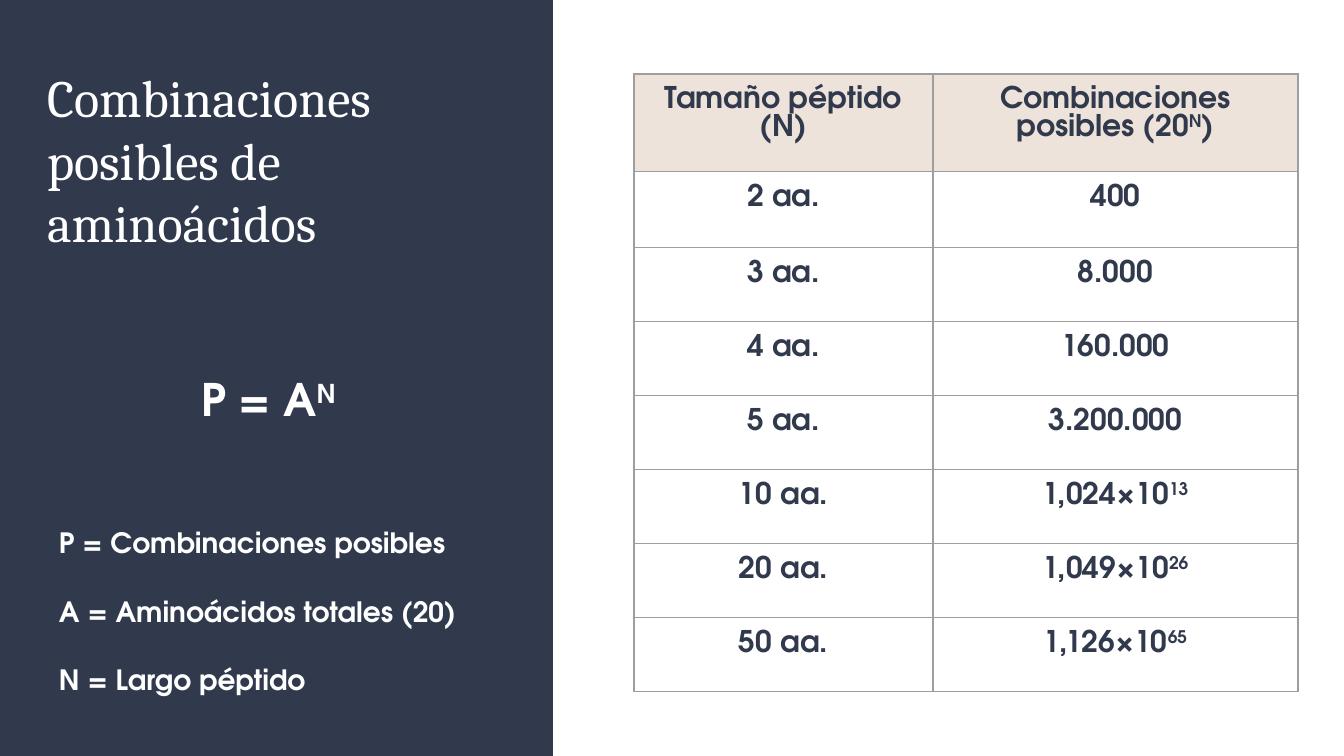
from dataclasses import dataclass

from lxml.etree import SubElement
from pptx import Presentation
from pptx.dml.color import RGBColor
from pptx.enum.shapes import MSO_SHAPE
from pptx.enum.text import MSO_ANCHOR, PP_ALIGN
from pptx.oxml.ns import qn
from pptx.util import Emu, Pt

EMU_PER_PX = 914400 / 134.4
NAVY, WHITE, SAND, GRAY = "31394D", "FFFFFF", "EDE3DA", "9E9E9E"
SERIF, SANS = "Cambria", "TeX Gyre Adventor"
INSET = 13


@dataclass(frozen=True)
class Power:
    base: str
    exponent: str = ""
    ending: str = ""


@dataclass(frozen=True)
class Line:
    content: Power
    size: int
    before: int = 0
    indent: int = 0


TABLE_ROWS = [
    (Power("Tamaño péptido (N)"), Power("Combinaciones posibles (20", "N", ")")),
    (Power("2 aa."), Power("400")),
    (Power("3 aa."), Power("8.000")),
    (Power("4 aa."), Power("160.000")),
    (Power("5 aa."), Power("3.200.000")),
    (Power("10 aa."), Power("1,024×10", "13")),
    (Power("20 aa."), Power("1,049×10", "26")),
    (Power("50 aa."), Power("1,126×10", "65")),
]
FORMULA_LINES = [
    Line(Power("P = A", "N"), 24, indent=142),
    Line(Power("P = Combinaciones posibles"), 15, before=51),
    Line(Power("A = Aminoácidos totales (20)"), 15, before=16),
    Line(Power("N = Largo péptido"), 15, before=16),
]
COLUMN_WIDTHS = [299, 365]
ROW_HEIGHTS = [82, 76] + [74] * 6


def px(length: int) -> Emu:
    return Emu(round(length * EMU_PER_PX))


def color(value: str) -> RGBColor:
    return RGBColor.from_string(value)


def set_font(paragraph, name: str, size: int, ink: str, bold: bool) -> None:
    paragraph.font.name = name
    paragraph.font.size = Pt(size)
    paragraph.font.bold = bold
    paragraph.font.color.rgb = color(ink)


def write_power(paragraph, content: Power) -> None:
    paragraph.add_run().text = content.base
    if content.exponent:
        span = paragraph.add_run()
        span.text = content.exponent
        span.font._element.set("baseline", "30000")
    if content.ending:
        paragraph.add_run().text = content.ending


def set_insets(frame) -> None:
    frame.margin_left = frame.margin_right = px(INSET)
    frame.margin_top = frame.margin_bottom = px(INSET)


def draw_panel(page) -> None:
    panel = page.shapes.add_shape(MSO_SHAPE.RECTANGLE, 0, 0, px(553), px(756))
    panel.shadow.inherit = False
    panel.fill.solid()
    panel.fill.fore_color.rgb = color(NAVY)
    panel.line.fill.background()
    page.shapes._spTree.remove(panel._element)
    page.shapes._spTree.insert(2, panel._element)


def format_title(page) -> None:
    title = page.shapes.title
    title.left, title.top, title.width, title.height = px(34), px(52), px(488), px(140)
    frame = title.text_frame
    frame.text = "Combinaciones posibles de aminoácidos"
    frame.word_wrap = True
    frame.vertical_anchor = MSO_ANCHOR.TOP
    set_insets(frame)
    paragraph = frame.paragraphs[0]
    paragraph.alignment = PP_ALIGN.LEFT
    paragraph.line_spacing = 1.0
    set_font(paragraph, SERIF, 28, WHITE, False)


def draw_formula(page) -> None:
    box = page.shapes.add_textbox(px(46), px(351), px(488), px(366))
    frame = box.text_frame
    frame.word_wrap = True
    set_insets(frame)
    for index, line in enumerate(FORMULA_LINES):
        paragraph = frame.add_paragraph() if index else frame.paragraphs[0]
        paragraph.line_spacing = 1.15
        if line.before:
            paragraph.space_before = Pt(line.before)
        if line.indent:
            paragraph._p.get_or_add_pPr().set("marL", str(px(line.indent)))
        write_power(paragraph, line.content)
        set_font(paragraph, SANS, line.size, WHITE, True)


def draw_borders(cell) -> None:
    properties = cell._tc.get_or_add_tcPr()
    for index, side in enumerate(("lnL", "lnR", "lnT", "lnB")):
        border = properties.makeelement(qn(f"a:{side}"), {"w": str(Pt(0.75))})
        properties.insert(index, border)
        fill = SubElement(border, qn("a:solidFill"))
        SubElement(fill, qn("a:srgbClr"), {"val": GRAY})


def draw_table(page) -> None:
    frame = page.shapes.add_table(
        len(TABLE_ROWS), len(COLUMN_WIDTHS), px(634), px(74),
        px(sum(COLUMN_WIDTHS)), px(sum(ROW_HEIGHTS)),
    )
    table = frame.table
    table.horz_banding = False
    for column, width in zip(table.columns, COLUMN_WIDTHS):
        column.width = px(width)
    for row, height in zip(table.rows, ROW_HEIGHTS):
        row.height = px(height)
    for row_index, contents in enumerate(TABLE_ROWS):
        for column_index, content in enumerate(contents):
            cell = table.cell(row_index, column_index)
            set_insets(cell)
            cell.fill.solid()
            cell.fill.fore_color.rgb = color(WHITE if row_index else SAND)
            draw_borders(cell)
            paragraph = cell.text_frame.paragraphs[0]
            paragraph.alignment = PP_ALIGN.CENTER
            write_power(paragraph, content)
            set_font(paragraph, SANS, 16, NAVY, True)


def main() -> None:
    deck = Presentation()
    deck.slide_width, deck.slide_height = px(1344), px(756)
    page = deck.slides.add_slide(deck.slide_layouts[5])
    draw_panel(page)
    format_title(page)
    draw_formula(page)
    draw_table(page)
    deck.save("out.pptx")


if __name__ == "__main__":
    main()
